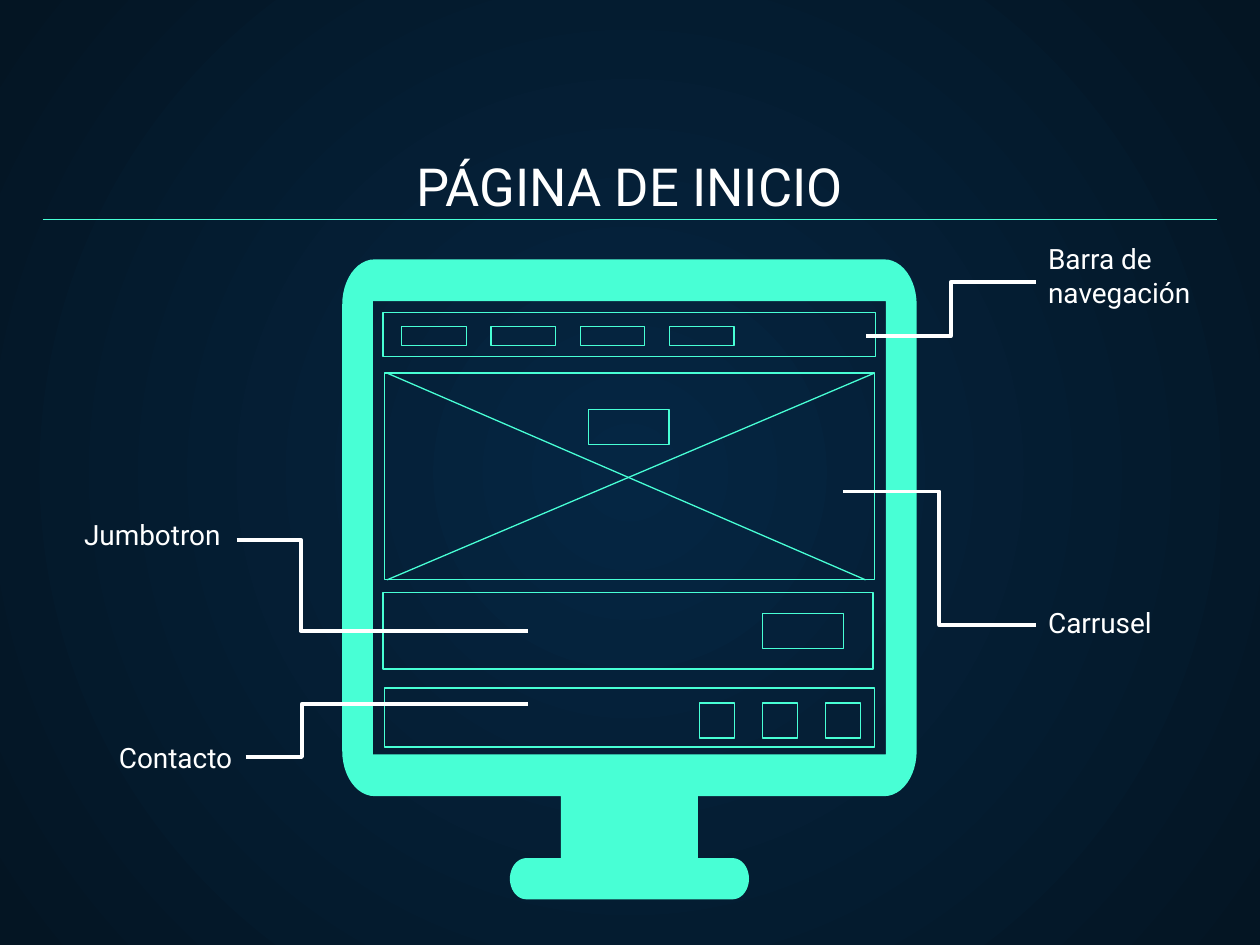
from dataclasses import dataclass
from math import cos, radians, sin

from lxml.etree import SubElement
from pptx import Presentation
from pptx.dml.color import RGBColor
from pptx.enum.shapes import MSO_CONNECTOR, MSO_SHAPE
from pptx.enum.text import MSO_ANCHOR, PP_ALIGN
from pptx.oxml.ns import qn
from pptx.util import Cm, Pt


@dataclass(frozen=True)
class Theme:
    accent: RGBColor = RGBColor(0x48, 0xFF, 0xD5)
    text: RGBColor = RGBColor(0xFF, 0xFF, 0xFF)
    centre: RGBColor = RGBColor(0x05, 0x26, 0x43)
    edge: RGBColor = RGBColor(0x04, 0x15, 0x23)
    font: str = "Roboto"
    title: Pt = Pt(30)
    label: Pt = Pt(16)
    thin: Pt = Pt(0.75)
    thick: Pt = Pt(2.25)


T = Theme()


def add_background(s):
    fill = s.background.fill
    fill.gradient()
    for stop, color, pos in zip(fill.gradient_stops, (T.centre, T.edge), (0, 1)):
        stop.color.rgb = color
        stop.position = pos
    lin = s.background._cSld.find(".//" + qn("a:lin"))
    grad = lin.getparent()
    grad.remove(lin)
    circle = SubElement(grad, qn("a:path"), path="circle")
    SubElement(circle, qn("a:fillToRect"), l="50000", t="50000", r="50000", b="50000")


def add_text(s, box, text, size, align, anchor=MSO_ANCHOR.TOP):
    tf = s.shapes.add_textbox(*map(Cm, box)).text_frame
    tf.word_wrap = True
    tf.vertical_anchor = anchor
    tf.margin_left = tf.margin_right = tf.margin_top = tf.margin_bottom = Cm(0.25)
    tf.text = text
    p = tf.paragraphs[0]
    p.alignment = align
    r = p.runs[0]
    r.font.name, r.font.size, r.font.color.rgb = T.font, size, T.text


def add_line(s, start, end, color, width, bend=None):
    kind = MSO_CONNECTOR.STRAIGHT if bend is None else MSO_CONNECTOR.ELBOW
    line = s.shapes.add_connector(kind, *map(Cm, (*start, *end)))
    line.line.color.rgb = color
    line.line.width = width
    sp_pr = line._element.spPr
    SubElement(sp_pr, qn("a:effectLst"))
    if bend is not None:
        guides = sp_pr.find(".//" + qn("a:avLst"))
        SubElement(guides, qn("a:gd"), name="adj1", fmla=f"val {round(bend * 100000)}")


def add_frame(s, x, y, w, h):
    sp = s.shapes.add_shape(MSO_SHAPE.RECTANGLE, *map(Cm, (x, y, w, h)))
    sp.shadow.inherit = False
    sp.fill.background()
    sp.line.color.rgb = T.accent
    sp.line.width = T.thin


def add_title(s, box, text):
    x, y, w, h = box
    add_text(s, box, text, T.title, PP_ALIGN.CENTER, MSO_ANCHOR.BOTTOM)
    rule_y = y + h - 0.2
    add_line(s, (x, rule_y), (x + w, rule_y), T.accent, T.thin)


def arc(cx, cy, rx, ry, start):
    angles = [radians(start + 7.5 * i) for i in range(13)]
    return [(cx + rx * cos(a), cy + ry * sin(a)) for a in angles]


def add_monitor(s, box, screen):
    x, y, w, h = box
    sx, sy, sw, sh = screen
    mid, body, rx, ry = w / 2, 10.82, 0.65, 0.91
    neck, foot, foot_top, fx, fy = 1.38, 2.41, h - 0.83, 0.33, 0.415
    right = [
        *arc(w - rx, ry, rx, ry, -90),
        *arc(w - rx, body - ry, rx, ry, 0),
        (mid + neck, body),
        (mid + neck, foot_top),
        *arc(mid + foot - fx, foot_top + fy, fx, fy, -90),
        *arc(mid + foot - fx, h - fy, fx, fy, 0),
    ]
    left = [(w - px, py) for px, py in reversed(right)]
    hole = [(sx, sy), (sx, sy + sh), (sx + sw, sy + sh), (sx + sw, sy)]
    outline = [(Cm(x + px), Cm(y + py)) for px, py in right + left]
    hole = [(Cm(x + px), Cm(y + py)) for px, py in hole]
    fb = s.shapes.build_freeform(*outline[0])
    fb.add_line_segments(outline[1:], close=True)
    fb.move_to(*hole[0])
    fb.add_line_segments(hole[1:], close=True)
    sp = fb.convert_to_shape()
    sp.shadow.inherit = False
    sp.fill.solid()
    sp.fill.fore_color.rgb = T.accent
    sp.line.fill.background()


def add_wireframe(s, x, y):
    navbar = (0.2, 0.23, 9.93, 0.89)
    carousel = (0.23, 1.45, 9.88, 4.17)
    jumbotron = (0.2, 5.87, 9.88, 1.55)
    contact = (0.23, 7.8, 9.88, 1.19)
    buttons = [(4.34, 2.18, 1.63, 0.71), (7.85, 6.3, 1.63, 0.71)]
    links = [(0.58 + 1.8 * i, 0.51, 1.3, 0.38) for i in range(4)]
    icons = [(6.58 + 1.27 * i, 8.1, 0.71, 0.71) for i in range(3)]
    for fx, fy, w, h in [navbar, carousel, jumbotron, contact, *buttons, *links, *icons]:
        add_frame(s, x + fx, y + fy, w, h)
    top, bottom = y + carousel[1], y + carousel[1] + carousel[3]
    add_line(s, (x + 0.28, top), (x + 9.93, bottom), T.accent, T.thin)
    add_line(s, (x + 0.28, bottom), (x + 10.11, top), T.accent, T.thin)


def add_callout(s, box, text, align, start, reach, bend):
    x, y = box[:2]
    add_text(s, box, text, T.label, align)
    begin = (x + start[0], y + start[1])
    end = (begin[0] + reach[0], begin[1] + reach[1])
    add_line(s, begin, end, T.text, T.thick, bend)


def main():
    prs = Presentation()
    prs.slide_width, prs.slide_height = Cm(25.4), Cm(19.05)
    s = prs.slides.add_slide(prs.slide_layouts[6])
    add_background(s)
    add_title(s, (0.86, 2.39, 23.67, 2.23), "PÁGINA DE INICIO")
    x, y = 6.9, 5.23
    screen = (0.62, 0.84, 10.34, 9.14)
    add_monitor(s, (x, y, 11.58, 12.9), screen)
    add_wireframe(s, x + screen[0], y + screen[1])
    left, right = PP_ALIGN.LEFT, PP_ALIGN.RIGHT
    callouts = [
        ((20.88, 4.62, 3.43, 0.76), "Barra de navegación", left, (0, 1.07), (-3.43, 1.09), 0.5),
        ((20.88, 11.96, 2.95, 0.74), "Carrusel", left, (0, 0.64), (-3.89, -2.69), 0.5),
        ((1.35, 10.19, 3.35, 0.74), "Jumbotron", right, (3.42, 0.69), (5.87, 1.84), 0.22),
        ((1.98, 14.68, 2.95, 0.74), "Contacto", right, (2.97, 0.58), (5.69, -1.07), 0.2),
    ]
    for callout in callouts:
        add_callout(s, *callout)
    prs.save("out.pptx")


if __name__ == "__main__":
    main()
